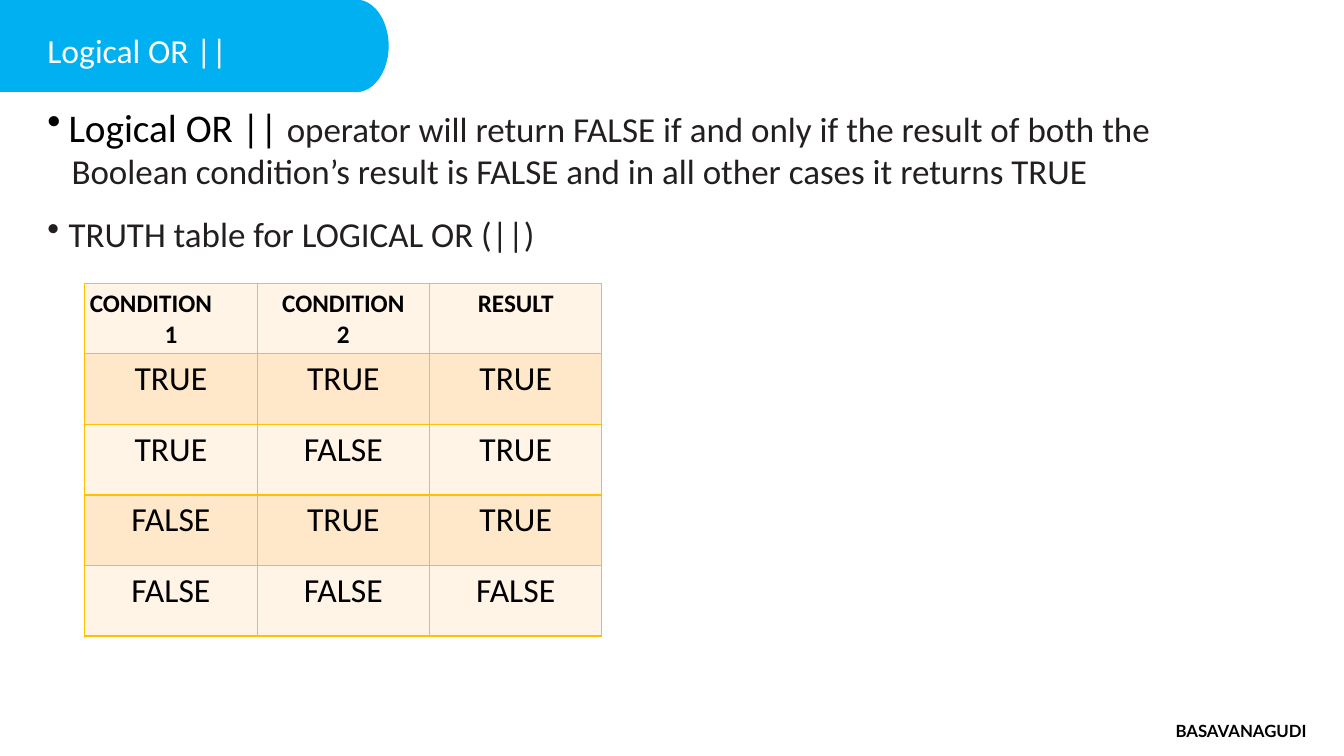
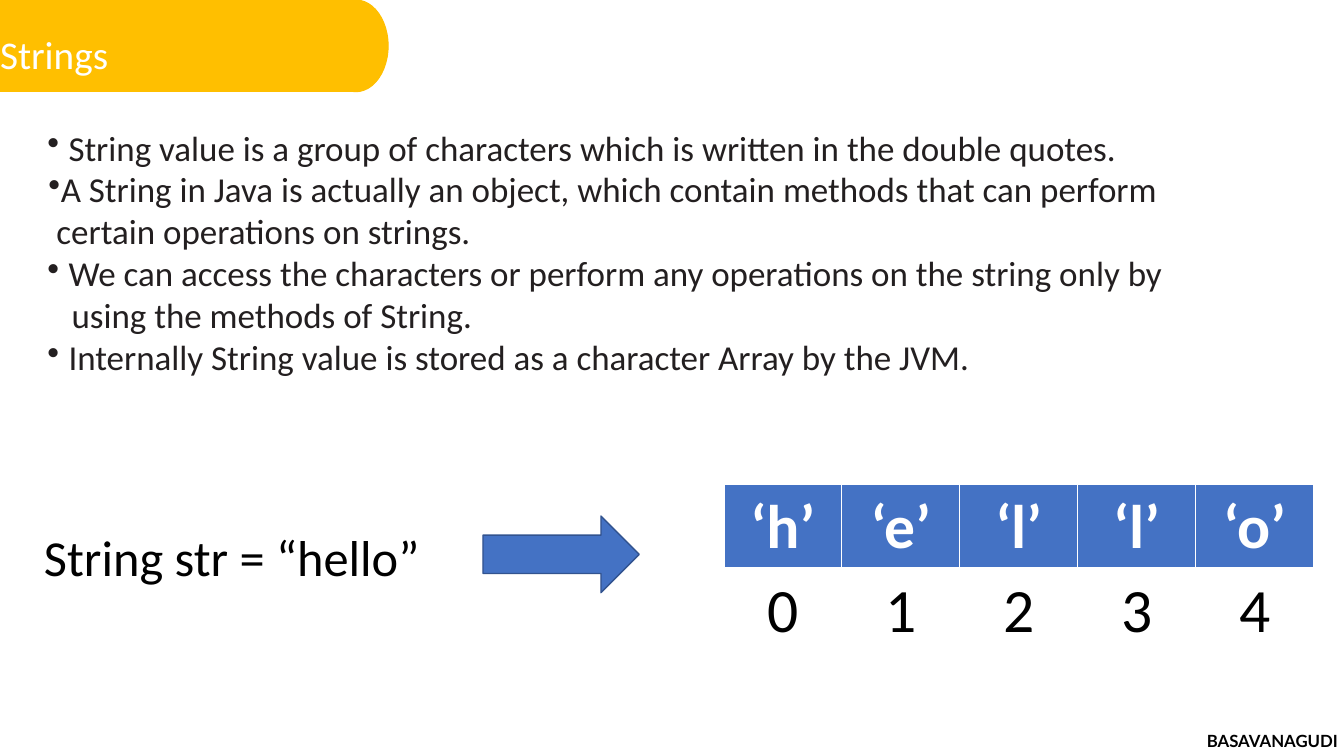
import pptx
import pptx.dml.color
import pptx.enum.shapes
import pptx.enum.text
import pptx.oxml.ns
import pptx.util
from lxml import etree

Inches, Pt = pptx.util.Inches, pptx.util.Pt
SHAPES = pptx.enum.shapes.MSO_SHAPE
ALIGN = pptx.enum.text.PP_ALIGN

WIDTH, HEIGHT = 13.33, 7.5
BAND_WIDTH, BAND_HEIGHT, CAP_WIDTH = 3.53, 0.91, 0.64
MARGIN = 0.47
BLUE, AMBER, BLACK, WHITE, INK = "00B0F0", "FFBF00", "000000", "FFFFFF", "231F20"
ACCENT, ACCENT_EDGE = "4472C4", "32538F"
GOLD, CREAM, PEACH = "FFC000", "FFF4E6", "FFE8CA"

BODY = {"name": "Calibri", "size": 25, "color": INK}
LEAD = BODY | {"size": 28, "color": BLACK}
CODE = BODY | {"size": 36, "color": BLACK}
HEADING = BODY | {"size": 18, "color": BLACK, "bold": True}
VALUE = BODY | {"size": 24, "color": BLACK, "bold": False}
LETTER = BODY | {"size": 44, "color": WHITE, "bold": True}
INDEX = LETTER | {"color": BLACK, "bold": False}
FOOTER = {"name": "Lato", "size": 12, "color": BLACK, "bold": True}

# Left margin and first-line indent of a paragraph, and whether it has a bullet
BULLET = (0.21, -0.21, True)
TIGHT_BULLET = (0.09, -0.08, True)
CONTINUED = (0.24, 0, False)

OR_RULE = [
    (BULLET, [("Logical OR || ", LEAD),
              ("operator will return FALSE if and only if the result of both the", BODY)]),
    (CONTINUED, [("Boolean condition’s result is FALSE and in all other cases it returns TRUE", BODY)]),
]
OR_TABLE_LABEL = [(BULLET, [("TRUTH table for LOGICAL OR (||)", BODY)])]
TRUTH_TABLE = [
    ["CONDITION\n1", "CONDITION\n2", "RESULT"],
    ["TRUE", "TRUE", "TRUE"],
    ["TRUE", "FALSE", "TRUE"],
    ["FALSE", "TRUE", "TRUE"],
    ["FALSE", "FALSE", "FALSE"],
]
STRING_FACTS = [
    (BULLET, [("String value is a group of characters which is written in the double quotes.", BODY)]),
    (TIGHT_BULLET, [("A String in Java is actually an object, which contain methods that can perform "
                     "certain operations on strings.", BODY)]),
    (BULLET, [("We can access the characters or perform any operations on the string only by", BODY)]),
    (CONTINUED, [("using the methods of String.", BODY)]),
    (BULLET, [("Internally String value is stored as a character Array by the JVM.", BODY)]),
]
HELLO_TABLE = [[f"‘{letter}’" for letter in "hello"], [str(place) for place in range(5)]]


def rgb(value):
    return pptx.dml.color.RGBColor.from_string(value)


def inches(*lengths):
    return [Inches(length) for length in lengths]


def style(font, formats):
    for key, value in formats.items():
        if key == "color":
            font.color.rgb = rgb(value)
        else:
            setattr(font, key, Pt(value) if key == "size" else value)


def add_span(para, text, formats):
    span = para.add_run()
    span.text = text
    style(span.font, formats)


def set_indent(para, margin, first, bulleted):
    properties = para._p.get_or_add_pPr()
    properties.set("marL", str(Inches(margin)))
    properties.set("indent", str(Inches(first)))
    if bulleted:
        etree.SubElement(properties, pptx.oxml.ns.qn("a:buChar")).set("char", "•")


def add_text(page, area, paragraphs, align=ALIGN.LEFT, inset=0):
    """Add paragraphs, each an indent (or None) and a list of formatted spans."""
    frame = page.shapes.add_textbox(*inches(*area)).text_frame
    frame.word_wrap = True
    for side in ("left", "top", "right", "bottom"):
        setattr(frame, f"margin_{side}", Inches(inset))
    for number, (indent, spans) in enumerate(paragraphs):
        para = frame.add_paragraph() if number else frame.paragraphs[0]
        para.alignment = align
        if indent:
            set_indent(para, *indent)
        for text, formats in spans:
            add_span(para, text, formats)


def add_solid(page, kind, area, fill, edge, weight):
    shape = page.shapes.add_shape(kind, *inches(*area))
    shape.shadow.inherit = False
    shape.fill.solid()
    shape.fill.fore_color.rgb = rgb(fill)
    shape.line.color.rgb = rgb(edge)
    shape.line.width = Pt(weight)


def add_page(deck, color, title, title_left, title_size, footer_area):
    """Add a slide with its rounded title band and footer."""
    page = deck.slides.add_slide(deck.slide_layouts[6])
    cap_left = BAND_WIDTH - CAP_WIDTH / 2
    add_solid(page, SHAPES.RECTANGLE, (0, 0, BAND_WIDTH, BAND_HEIGHT), color, color, 0.75)
    add_solid(page, SHAPES.OVAL, (cap_left, 0, CAP_WIDTH, BAND_HEIGHT), color, color, 0.75)
    title_format = {"name": "Calibri", "size": title_size, "color": WHITE}
    add_text(page, (title_left, 0.3, 3.38, 0.45), [(None, [(title, title_format)])])
    add_text(page, footer_area, [(None, [("BASAVANAGUDI", FOOTER)])], ALIGN.CENTER, 0.03)
    return page


def set_borders(cell, color, weights):
    """Draw the left, right, top and bottom borders, in that order."""
    properties = cell._tc.get_or_add_tcPr()
    qn = pptx.oxml.ns.qn
    for side, weight in zip("LRTB", weights):
        line = etree.SubElement(properties, qn(f"a:ln{side}"), w=str(Pt(weight)))
        fill = etree.SubElement(line, qn("a:solidFill"))
        etree.SubElement(fill, qn("a:srgbClr"), val=color)


def add_grid(page, corner, column, row, texts, look):
    """Add a table; look gives the format, fill and borders of a row by its number."""
    rows, columns = len(texts), len(texts[0])
    frame = page.shapes.add_table(rows, columns, *inches(*corner, column * columns, row * rows))
    table = frame.table
    for part in table.columns:
        part.width = Inches(column)
    for part in table.rows:
        part.height = Inches(row)
    for r, line in enumerate(texts):
        formats, fill, color, weights = look(r)
        for c, text in enumerate(line):
            cell = table.cell(r, c)
            set_borders(cell, color, weights)
            if fill:
                cell.fill.solid()
                cell.fill.fore_color.rgb = rgb(fill)
            else:
                cell.fill.background()
            for side in ("left", "top", "right", "bottom"):
                setattr(cell, f"margin_{side}", Inches(0.05))
            for number, words in enumerate(text.split("\n")):
                frame = cell.text_frame
                para = frame.add_paragraph() if number else frame.paragraphs[0]
                para.alignment = ALIGN.CENTER
                add_span(para, words, formats)
    return table


def truth_look(row):
    return (VALUE if row else HEADING, PEACH if row % 2 else CREAM, GOLD, (1, 1, 1, 1))


def hello_look(row):
    if row:
        return INDEX, None, WHITE, (1, 1, 3, 1)
    return LETTER, ACCENT, WHITE, (1, 1, 1, 3)


def build_logical_or(deck):
    page = add_page(deck, BLUE, "Logical OR ||", MARGIN, 24, (11.32, 7.12, 1.98, 0.26))
    add_text(page, (MARGIN, 1.02, 12.4, 0.92), OR_RULE)
    add_text(page, (MARGIN, 2.11, 11.31, 0.43), OR_TABLE_LABEL)
    table = add_grid(page, (0.84, 2.81), 1.71, 0.7, TRUTH_TABLE, truth_look)
    table.cell(0, 0).text_frame.paragraphs[0].alignment = ALIGN.LEFT


def build_strings(deck):
    page = add_page(deck, AMBER, "Strings", 0, 28, (11.91, 7.22, 1.42, 0.26))
    add_text(page, (MARGIN, 1.25, 11.96, 2.52), STRING_FACTS)
    add_text(page, (0.38, 5.17, 3.84, 0.71), [(None, [("String str = “hello”", CODE)])],
             ALIGN.CENTER, 0.05)
    add_grid(page, (7.18, 4.81), 1.17, 0.82, HELLO_TABLE, hello_look)
    add_solid(page, SHAPES.RIGHT_ARROW, (4.79, 5.12, 1.55, 0.76), ACCENT, ACCENT_EDGE, 1)


def main():
    deck = pptx.Presentation()
    deck.slide_width, deck.slide_height = inches(WIDTH, HEIGHT)
    build_logical_or(deck)
    build_strings(deck)
    deck.save("out.pptx")


if __name__ == "__main__":
    main()
